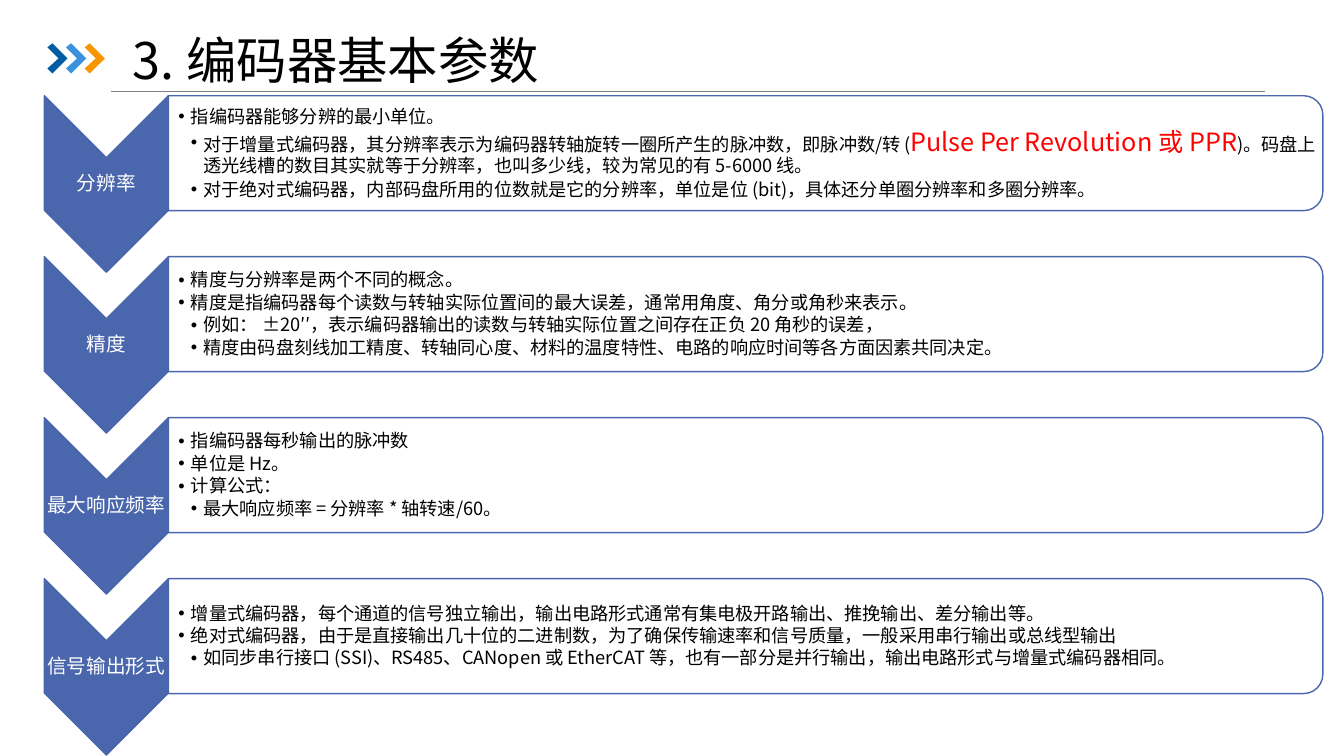
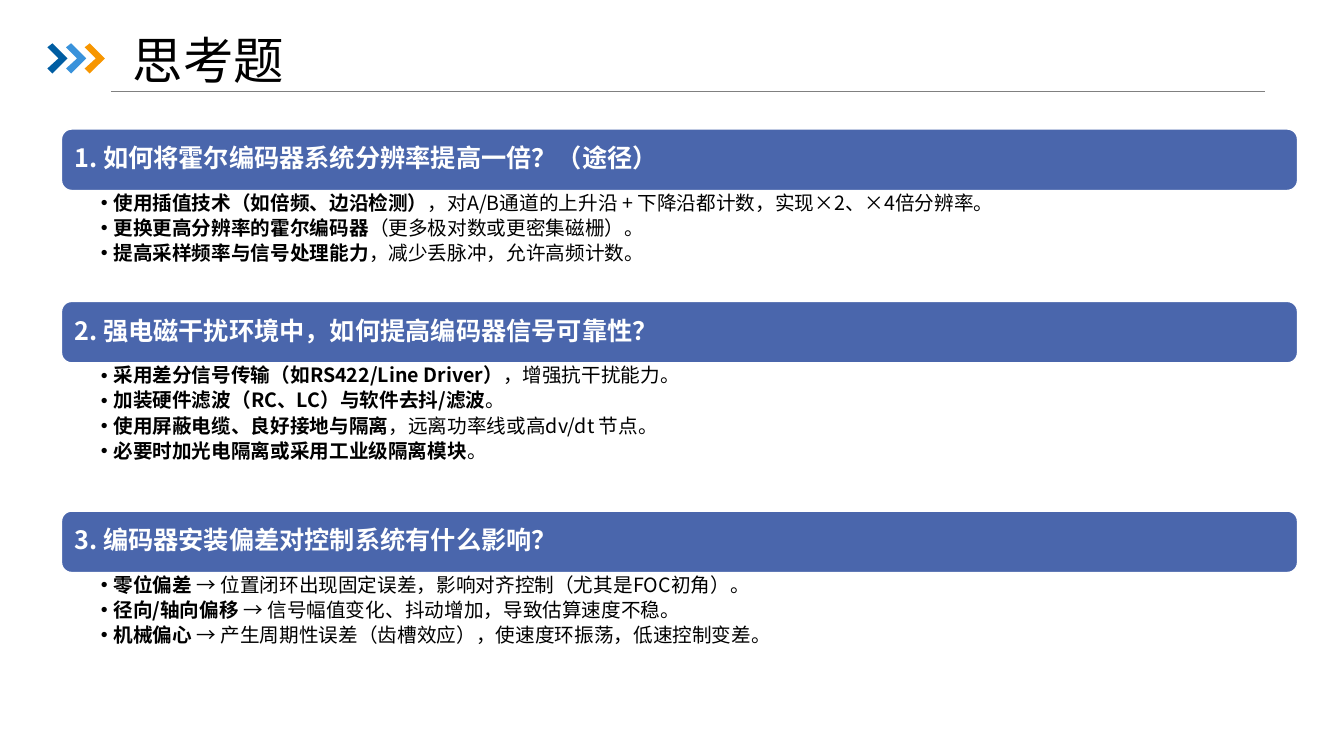
from lxml.etree import SubElement
from pptx import Presentation
from pptx.dml.color import RGBColor
from pptx.enum.shapes import MSO_CONNECTOR, MSO_SHAPE
from pptx.enum.text import MSO_ANCHOR, PP_ALIGN
from pptx.oxml.ns import qn
from pptx.util import Inches, Pt

FONT = "Noto Sans CJK SC"
BLACK, WHITE, BLUE, RED, GRAY = "000000", "FFFFFF", "4A66AC", "FF0000", "808080"
ICON_COLORS = ["005DA2", "3992DB", "F79600"]
ICON_OUTLINE = [(0, 0.04), (0.05, 0), (0.2, 0.15), (0.05, 0.3), (0, 0.25), (0.11, 0.15)]

PARAMETERS_TITLE = "3. 编码器基本参数"
PARAMETERS = [
    ("分辨率", [
        (1, ["指编码器能够分辨的最小单位。"]),
        (2, ["对于增量式编码器，其分辨率表示为编码器转轴旋转一圈所产生的脉冲数，即脉冲数/转 (",
             ("Pulse Per Revolution 或 PPR", {"size": 18, "color": RED}),
             ")。码盘上透光线槽的数目其实就等于分辨率，也叫多少线，较为常见的有 5-6000 线。"]),
        (2, ["对于绝对式编码器，内部码盘所用的位数就是它的分辨率，单位是位 (bit)，具体还分单圈分辨率和多圈分辨率。"]),
    ]),
    ("精度", [
        (1, ["精度与分辨率是两个不同的概念。"]),
        (1, ["精度是指编码器每个读数与转轴实际位置间的最大误差，通常用角度、角分或角秒来表示。"]),
        (2, ["例如： ±20′′，表示编码器输出的读数与转轴实际位置之间存在正负 20 角秒的误差，"]),
        (2, ["精度由码盘刻线加工精度、转轴同心度、材料的温度特性、电路的响应时间等各方面因素共同决定。"]),
    ]),
    ("最大响应频率", [
        (1, ["指编码器每秒输出的脉冲数"]),
        (1, ["单位是 Hz。"]),
        (1, ["计算公式："]),
        (2, ["最大响应频率 = 分辨率 * 轴转速/60。"]),
    ]),
    ("信号输出形式", [
        (1, ["增量式编码器，每个通道的信号独立输出，输出电路形式通常有集电极开路输出、推挽输出、差分输出等。"]),
        (1, ["绝对式编码器，由于是直接输出几十位的二进制数，为了确保传输速率和信号质量，一般采用串行输出或总线型输出"]),
        (2, ["如同步串行接口 (SSI)、RS485、CANopen 或 EtherCAT 等，也有一部分是并行输出，输出电路形式与增量式编码器相同。"]),
    ]),
]

QUESTIONS_TITLE = "思考题"
QUESTIONS = [
    ("1. 如何将霍尔编码器系统分辨率提高一倍？（途径）", 1.1, [
        ("使用插值技术（如倍频、边沿检测）", "，对A/B通道的上升沿 + 下降沿都计数，实现×2、×4倍分辨率。"),
        ("更换更高分辨率的霍尔编码器", "（更多极对数或更密集磁栅）。"),
        ("提高采样频率与信号处理能力", "，减少丢脉冲，允许高频计数。"),
    ]),
    ("2. 强电磁干扰环境中，如何提高编码器信号可靠性？", 1.47, [
        ("采用差分信号传输（如RS422/Line Driver）", "，增强抗干扰能力。"),
        ("加装硬件滤波（RC、LC）与软件去抖/滤波", "。"),
        ("使用屏蔽电缆、良好接地与隔离", "，远离功率线或高dv/dt 节点。"),
        ("必要时加光电隔离或采用工业级隔离模块", "。"),
    ]),
    ("3. 编码器安装偏差对控制系统有什么影响？", 1.1, [
        ("零位偏差", " → 位置闭环出现固定误差，影响对齐控制（尤其是FOC初角）。"),
        ("径向/轴向偏移", " → 信号幅值变化、抖动增加，导致估算速度不稳。"),
        ("机械偏心", " → 产生周期性误差（齿槽效应），使速度环振荡，低速控制变差。"),
    ]),
]


def rgb(color):
    return RGBColor.from_string(color)


def paint(sp, fill, line=None):
    sp.shadow.inherit = False
    sp.fill.solid()
    sp.fill.fore_color.rgb = rgb(fill)
    if line:
        sp.line.color.rgb = rgb(line)
        sp.line.width = Pt(1)
    else:
        sp.line.fill.background()


def add_shape(s, kind, left, top, width, height, fill, line, rotation=0):
    if rotation:
        left, top = left + (width - height) / 2, top + (height - width) / 2
        width, height = height, width
    sp = s.shapes.add_shape(kind, *map(Inches, (left, top, width, height)))
    sp.rotation = rotation
    paint(sp, fill, line)
    return sp


def set_frame(sp, insets, anchor=MSO_ANCHOR.MIDDLE):
    tf = sp.text_frame
    tf.word_wrap = True
    tf.vertical_anchor = anchor
    tf.margin_left, tf.margin_top, tf.margin_right, tf.margin_bottom = map(Inches, insets)
    return tf


def add_box(s, left, top, width, height, insets, anchor=MSO_ANCHOR.MIDDLE):
    return set_frame(s.shapes.add_textbox(*map(Inches, (left, top, width, height))), insets, anchor)


def add_run(p, text, size, color=BLACK, bold=False):
    r = p.add_run()
    r.text = text
    r.font.size = Pt(size)
    r.font.bold = bold
    r.font.name = FONT
    r.font.color.rgb = rgb(color)
    SubElement(r.font._element, qn("a:ea")).set("typeface", FONT)


def add_paragraph(tf, runs, size, color=BLACK, bold=False, level=0, after=0, align=PP_ALIGN.LEFT):
    p = tf.paragraphs[0] if not tf.paragraphs[0].runs else tf.add_paragraph()
    p.alignment = align
    p.line_spacing = 0.9
    pPr = p._p.get_or_add_pPr()
    if after:
        spacing = SubElement(pPr, qn("a:spcAft"))
        SubElement(spacing, qn("a:spcPct")).set("val", str(after * 1000))
    if level:
        p.level = level
        pPr.set("marL", str(Inches(0.125 * level)))
        pPr.set("indent", str(-Inches(0.125)))
        SubElement(pPr, qn("a:buFont")).set("typeface", "Arial")
        SubElement(pPr, qn("a:buChar")).set("char", "•")
    for run in runs:
        text, style = run if isinstance(run, tuple) else (run, {})
        add_run(p, text, **{"size": size, "color": color, "bold": bold, **style})


def add_slide(prs, title):
    s = prs.slides.add_slide(prs.slide_layouts[6])
    rule = s.shapes.add_connector(MSO_CONNECTOR.STRAIGHT, *map(Inches, (1.1, 0.91, 12.55, 0.91)))
    rule.line.color.rgb = rgb(GRAY)
    rule.line.width = Pt(0.5)
    SubElement(rule._element.spPr, qn("a:effectLst"))
    for i, color in enumerate(ICON_COLORS):
        points = [(Inches(0.47 + 0.185 * i + x), Inches(0.43 + y)) for x, y in ICON_OUTLINE]
        builder = s.shapes.build_freeform(*points[0])
        builder.add_line_segments(points[1:], close=True)
        paint(builder.convert_to_shape(), color)
    tf = add_box(s, 1.22, 0.41, 11.51, 0.43, (0.1, 0.05, 0.1, 0.05))
    add_paragraph(tf, [title], 36)
    return s


def add_parameters(prs):
    s = add_slide(prs, PARAMETERS_TITLE)
    left, first_top, pitch = 0.44, 0.95, 1.597
    arrow_w, arrow_h, panel_w, panel_h = 1.23, 1.75, 11.45, 1.14
    panel_left = left + arrow_w
    for i, (name, points) in enumerate(PARAMETERS):
        top = first_top + i * pitch
        add_shape(s, MSO_SHAPE.CHEVRON, left, top, arrow_w, arrow_h, BLUE, BLUE, 90)
        tf = add_box(s, left, top + arrow_w / 2, arrow_w, arrow_h - arrow_w, (0.01,) * 4)
        add_paragraph(tf, [name], 14, WHITE, after=35, align=PP_ALIGN.CENTER)
        add_shape(s, MSO_SHAPE.ROUND_2_SAME_RECTANGLE, panel_left, top, panel_w, panel_h, WHITE, BLUE, 90)
        tf = add_box(s, panel_left, top + 0.06, panel_w - 0.06, panel_h - 0.11, (0.1, 0.01, 0.01, 0.01))
        for level, runs in points:
            add_paragraph(tf, runs, 13, level=level, after=15)


def add_questions(prs):
    s = add_slide(prs, QUESTIONS_TITLE)
    left, top, width, bar_h = 0.61, 1.28, 12.26, 0.61
    for question, answer_h, answers in QUESTIONS:
        bar = add_shape(s, MSO_SHAPE.ROUNDED_RECTANGLE, left, top, width, bar_h, BLUE, WHITE)
        add_paragraph(set_frame(bar, (0.1,) * 4), [question], 18, WHITE, True, after=35)
        tf = add_box(s, left, top + bar_h, width, answer_h, (0.39, 0.03, 0.14, 0.03), MSO_ANCHOR.TOP)
        for key, detail in answers:
            add_paragraph(tf, [(key, {"bold": True}), detail], 14, level=1, after=20)
        top += bar_h + answer_h


def main():
    prs = Presentation()
    prs.slide_width, prs.slide_height = Inches(13.33), Inches(7.5)
    add_parameters(prs)
    add_questions(prs)
    prs.save("out.pptx")


if __name__ == "__main__":
    main()
